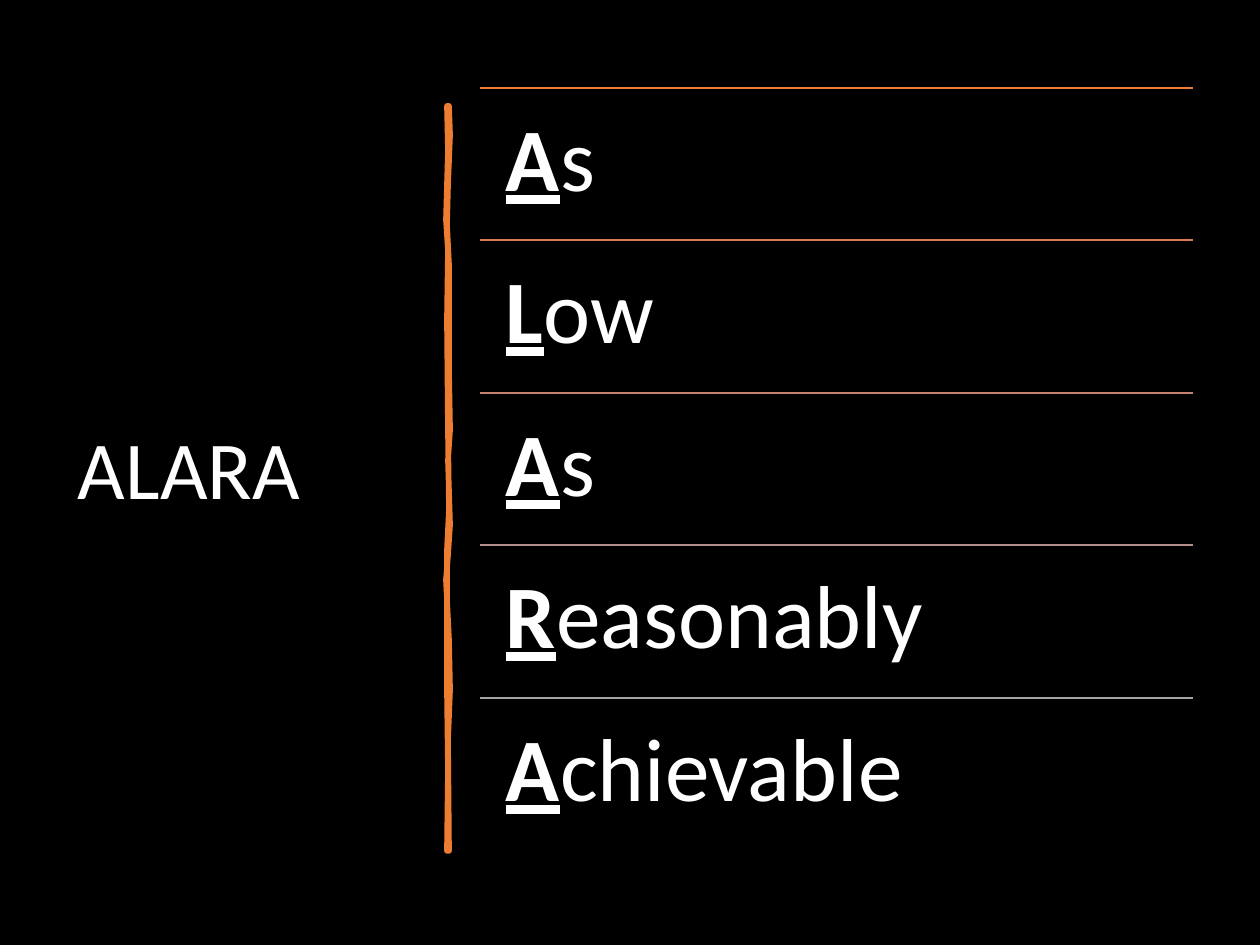
from pptx import Presentation
from pptx.dml.color import RGBColor
from pptx.enum.shapes import MSO_CONNECTOR
from pptx.enum.text import MSO_ANCHOR
from pptx.oxml.ns import qn
from pptx.util import Emu, Pt
from lxml import etree

STRAIGHT = MSO_CONNECTOR.STRAIGHT
TOP, MIDDLE = MSO_ANCHOR.TOP, MSO_ANCHOR.MIDDLE
PX = 914400 / 126
COLORS = {"background": "000000", "text": "FFFFFF", "bar": "ED7D31"}
ROWS = [
    ("A", "s", "ED7D31"),
    ("L", "ow", "D87A51"),
    ("A", "s", "C48170"),
    ("R", "easonably", "B4908B"),
    ("A", "chievable", "A5A5A5"),
]


def px(length):
    return Emu(round(length * PX))


def add_text(box, inset, anchor, size, pieces):
    label = slide.shapes.add_textbox(*map(px, box))
    frame = label.text_frame
    frame.word_wrap = True
    frame.vertical_anchor = anchor
    frame.margin_left = frame.margin_right = px(inset)
    frame.margin_top = frame.margin_bottom = px(inset)
    paragraph = frame.paragraphs[0]
    paragraph.line_spacing = 0.9
    for wording, emphasis in pieces:
        run = paragraph.add_run()
        run.text = wording
        run.font.name = "Calibri"
        run.font.size = Pt(size)
        run.font.bold = run.font.underline = emphasis
        run.font.color.rgb = RGBColor.from_string(COLORS["text"])


prs = Presentation()
prs.slide_width, prs.slide_height = px(1260), px(945)
slide = prs.slides.add_slide(prs.slide_layouts[6])
slide.background.fill.solid()
slide.background.fill.fore_color.rgb = RGBColor.from_string(COLORS["background"])

add_text((65, 88, 353, 770), 13, MIDDLE, 47, [("ALARA", False)])

right_edge = [(449, 106), (450, 135), (448, 185), (447, 225), (449, 265), (449, 370),
              (450, 430), (448, 460), (450, 525), (448, 555), (446, 580), (449, 640),
              (450, 690), (448, 740), (449, 851)]
left_edge = [(447, 851), (448, 770), (447, 690), (447, 580), (447, 550), (449, 510),
             (448, 430), (447, 320), (448, 250), (446, 220), (448, 150), (447, 106)]
outline = right_edge + left_edge
builder = slide.shapes.build_freeform(*outline[0], scale=PX)
builder.add_line_segments(outline[1:], close=True)
bar = builder.convert_to_shape()
bar.shadow.inherit = False
bar.fill.solid()
bar.fill.fore_color.rgb = RGBColor.from_string(COLORS["bar"])
bar.line.color.rgb = RGBColor.from_string(COLORS["bar"])
bar.line.width = Pt(3.25)

for index, (initial, rest, rule_color) in enumerate(ROWS):
    top = 88 + index * 305 // 2
    rule = slide.shapes.add_connector(STRAIGHT, px(480), px(top), px(1193), px(top))
    rule.line.color.rgb = RGBColor.from_string(rule_color)
    rule.line.width = Pt(1)
    etree.SubElement(rule._element.spPr, qn("a:effectLst"))
    add_text((480, top, 713, 152), 26, TOP, 51, [(initial, True), (rest, False)])

prs.save("out.pptx")
